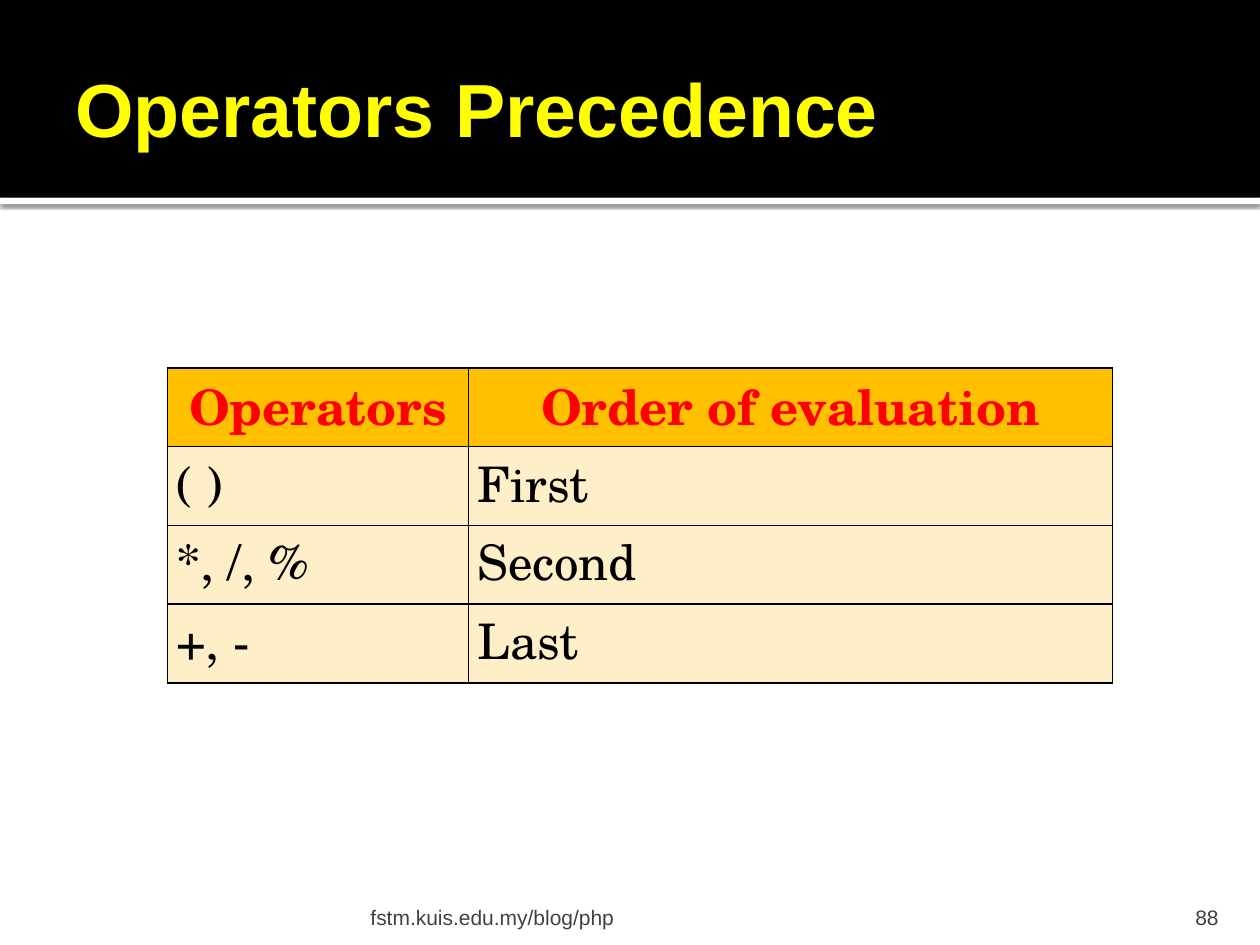
from lxml.etree import SubElement
from pptx import Presentation
from pptx.dml.color import RGBColor
from pptx.enum.shapes import MSO_SHAPE
from pptx.enum.text import MSO_ANCHOR, PP_ALIGN
from pptx.oxml import parse_xml
from pptx.oxml.ns import nsdecls, qn
from pptx.util import Inches, Pt

COLORS = {
    "white": "FFFFFF",
    "black": "000000",
    "title": "FFFF00",
    "header_text": "FF0000",
    "header_fill": "FFC000",
    "body_fill": "FEEFC9",
    "footer": "414141",
    "number": "3F3F3F",
}
ROWS = [
    ("Operators", "Order of evaluation"),
    ("( )", "First"),
    ("*, /, %", "Second"),
    ("+, -", "Last"),
]
COL_WIDTHS = (2.39, 5.11)
TABLE_HEIGHT = 2.5


def rgb(name):
    return RGBColor.from_string(COLORS[name])


def set_text(tf, text, size=12, font="Arial", color="black", bold=False,
             align=PP_ALIGN.LEFT):
    p = tf.paragraphs[0]
    p.alignment = align
    r = p.add_run()
    r.text = text
    r.font.size = Pt(size)
    r.font.name = font
    r.font.bold = bold
    r.font.color.rgb = rgb(color)


def set_margins(obj, left, top, right, bottom):
    obj.margin_left, obj.margin_top = Inches(left), Inches(top)
    obj.margin_right, obj.margin_bottom = Inches(right), Inches(bottom)


def add_text(s, box, text, margins, anchor, **fmt):
    tf = s.shapes.add_textbox(*map(Inches, box)).text_frame
    tf.word_wrap = True
    tf.vertical_anchor = anchor
    set_margins(tf, *margins)
    set_text(tf, text, **fmt)


def add_band(s, top, height, color):
    sp = s.shapes.add_shape(MSO_SHAPE.RECTANGLE, 0, Inches(top),
                            Inches(10), Inches(height))
    sp.shadow.inherit = False
    sp.fill.solid()
    sp.fill.fore_color.rgb = rgb(color)
    sp.line.fill.background()
    return sp


def add_shadow(sp):
    effects = sp._element.spPr.find(qn("a:effectLst"))
    effects.append(parse_xml(
        f'<a:outerShdw {nsdecls("a")} blurRad="{Pt(2.5)}" dist="{Pt(0.8)}" '
        f'dir="5400000" rotWithShape="0"><a:srgbClr val="{COLORS["black"]}">'
        '<a:alpha val="60000"/></a:srgbClr></a:outerShdw>'))


def fill_cell(cell, text, fill, **fmt):
    set_margins(cell, 0.07, 0, 0.07, 0)
    set_text(cell.text_frame, text, size=28, font="TeX Gyre Schola", **fmt)
    # Borders must come before the fill in the cell properties
    tc_pr = cell._tc.get_or_add_tcPr()
    for side in ("lnL", "lnR", "lnT", "lnB"):
        ln = SubElement(tc_pr, qn(f"a:{side}"), w=str(Pt(1)))
        solid = SubElement(ln, qn("a:solidFill"))
        SubElement(solid, qn("a:srgbClr"), val=COLORS["black"])
    cell.fill.solid()
    cell.fill.fore_color.rgb = rgb(fill)


def add_precedence_table(s):
    table = s.shapes.add_table(
        len(ROWS), len(COL_WIDTHS), Inches(1.33), Inches(2.92),
        Inches(sum(COL_WIDTHS)), Inches(TABLE_HEIGHT)).table
    table.horz_banding = False
    for column, width in zip(table.columns, COL_WIDTHS):
        column.width = Inches(width)
    header = dict(fill="header_fill", color="header_text", bold=True,
                  align=PP_ALIGN.CENTER)
    body = dict(fill="body_fill")
    for i, row in enumerate(ROWS):
        table.rows[i].height = Inches(TABLE_HEIGHT / len(ROWS))
        for j, text in enumerate(row):
            fill_cell(table.cell(i, j), text, **(body if i else header))


def main():
    prs = Presentation()
    prs.slide_width, prs.slide_height = Inches(10), Inches(7.5)
    s = prs.slides.add_slide(prs.slide_layouts[6])

    # Title band with a shadowed white strip below
    add_shadow(add_band(s, 1.57, 0.05, "white"))
    add_band(s, 0, 1.57, "black")
    add_text(s, (0.5, 0.17, 8.17, 1.37), "Operators Precedence",
             (0.1, 0.05, 0.05, 0.05), MSO_ANCHOR.MIDDLE,
             size=43, color="title", bold=True)

    # Precedence table
    add_precedence_table(s)

    # Footer and slide number
    add_text(s, (2.89, 7.08, 6.02, 0.3), "fstm.kuis.edu.my/blog/php",
             (0.05, 0.05, 0.05, 0), MSO_ANCHOR.BOTTOM, color="footer")
    add_text(s, (8.97, 7.08, 0.8, 0.3), "88", (0.1, 0.05, 0.1, 0),
             MSO_ANCHOR.BOTTOM, color="number", align=PP_ALIGN.RIGHT)

    prs.save("out.pptx")


if __name__ == "__main__":
    main()
